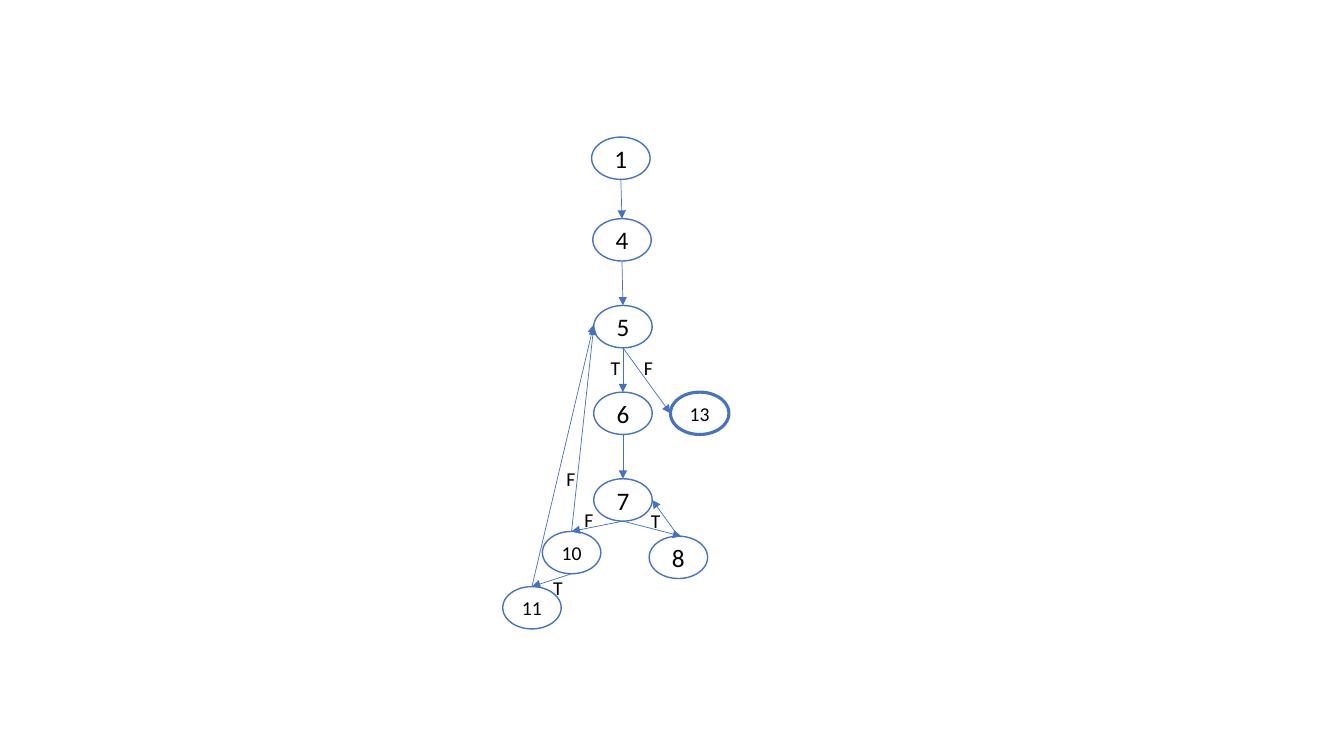
import enum
from dataclasses import dataclass

import pptx
import pptx.dml.color
import pptx.enum.shapes
import pptx.enum.text
import pptx.oxml
import pptx.oxml.ns
import pptx.presentation
import pptx.slide
import pptx.text.text
import pptx.util

Pt = pptx.util.Pt


@dataclass(frozen=True)
class Theme:
    font: str = "Calibri"
    outline: str = "4472C4"
    node_fill: str = "FFFFFF"
    ink: str = "000000"
    large: float = 18
    small: float = 14
    node_line: float = 1
    final_line: float = 2.25
    edge_line: float = 0.5


class Side(enum.Enum):
    """Point on a node's outline, as fractions of its width and height."""
    TOP = (0.5, 0)
    LEFT = (0, 0.5)
    BOTTOM = (0.5, 1)
    RIGHT = (1, 0.5)


@dataclass(frozen=True)
class Node:
    name: str
    left: float
    top: float
    final: bool = False

    def point(self, side: Side) -> tuple[float, float]:
        across, down = side.value
        return self.left + across * NODE_WIDTH, self.top + down * NODE_HEIGHT


@dataclass(frozen=True)
class Edge:
    source: str
    target: str
    leave: Side = Side.BOTTOM
    enter: Side = Side.TOP
    shift: tuple[float, float] = (0, 0)


@dataclass(frozen=True)
class Branch:
    outcome: str
    left: float
    top: float


THEME = Theme()
NODE_WIDTH, NODE_HEIGHT = 41.76, 30.24
LOOP_TOP, LOOP_STEP = 218.2, 61.9
LOOP_LEFT = 424.1
LABEL_WIDTH, LABEL_HEIGHT = 21.4, 24.2

# Control-flow graph
NODES = [
    Node("1", 422.6, 97.9),
    Node("4", 423.4, 156.2),
    *(Node(name, LOOP_LEFT, LOOP_TOP + step * LOOP_STEP)
      for step, name in enumerate(("5", "6", "7"))),
    Node("8", 463.7, 383),
    Node("10", 387.4, 379.6),
    Node("11", 359.1, 419),
    Node("13", 478.9, LOOP_TOP + LOOP_STEP, final=True),
]
EDGES = [
    Edge("1", "4"),
    Edge("4", "5"),
    Edge("5", "6"),
    Edge("5", "13", enter=Side.LEFT),
    Edge("6", "7"),
    Edge("7", "8", shift=(2, 0)),
    Edge("7", "10"),
    Edge("8", "7", leave=Side.TOP, enter=Side.RIGHT),
    Edge("10", "11"),
    Edge("10", "5", leave=Side.TOP, enter=Side.LEFT),
    Edge("11", "5", leave=Side.TOP, enter=Side.LEFT, shift=(0, -1.5)),
]
BRANCHES = [
    Branch("T", 429.1, 250.6),
    Branch("F", 452.9, 250.6),
    Branch("T", 457.9, 360),
    Branch("F", 410.4, 359.3),
    Branch("T", 388.1, 407.5),
    Branch("F", 397.4, 329.8),
]


def rgb(value: str) -> pptx.dml.color.RGBColor:
    return pptx.dml.color.RGBColor.from_string(value)


def write(frame: pptx.text.text.TextFrame, text: str, size: float,
          frame_format: dict) -> None:
    for key, value in {"word_wrap": False, **frame_format}.items():
        setattr(frame, key, value)
    run = frame.paragraphs[0].add_run()
    run.text = text
    for key, value in {"name": THEME.font, "size": Pt(size)}.items():
        setattr(run.font, key, value)
    run.font.color.rgb = rgb(THEME.ink)


def draw_node(slide: pptx.slide.Slide, node: Node) -> None:
    oval = slide.shapes.add_shape(
        pptx.enum.shapes.MSO_SHAPE.OVAL, Pt(node.left), Pt(node.top),
        Pt(NODE_WIDTH), Pt(NODE_HEIGHT))
    oval.shadow.inherit = False
    oval.fill.solid()
    oval.fill.fore_color.rgb = rgb(THEME.node_fill)
    oval.line.color.rgb = rgb(THEME.outline)
    oval.line.width = Pt(THEME.final_line if node.final else THEME.node_line)
    size = THEME.small if len(node.name) > 1 else THEME.large
    write(oval.text_frame, node.name, size,
          {"vertical_anchor": pptx.enum.text.MSO_ANCHOR.MIDDLE})
    oval.text_frame.paragraphs[0].alignment = pptx.enum.text.PP_ALIGN.CENTER


def draw_edge(slide: pptx.slide.Slide, edge: Edge,
              nodes: dict[str, Node]) -> None:
    start = nodes[edge.source].point(edge.leave)
    end = nodes[edge.target].point(edge.enter)
    arrow = slide.shapes.add_connector(
        pptx.enum.shapes.MSO_CONNECTOR.STRAIGHT, Pt(start[0]), Pt(start[1]),
        Pt(end[0] + edge.shift[0]), Pt(end[1] + edge.shift[1]))
    arrow.line.color.rgb = rgb(THEME.outline)
    arrow.line.width = Pt(THEME.edge_line)
    # Arrowhead, and no shadow
    namespace = pptx.oxml.ns.nsdecls("a")
    arrow.line._get_or_add_ln().append(
        pptx.oxml.parse_xml(f'<a:tailEnd {namespace} type="triangle"/>'))
    arrow._element.spPr.append(
        pptx.oxml.parse_xml(f"<a:effectLst {namespace}/>"))


def draw_branch(slide: pptx.slide.Slide, branch: Branch) -> None:
    label = slide.shapes.add_textbox(
        Pt(branch.left), Pt(branch.top), Pt(LABEL_WIDTH), Pt(LABEL_HEIGHT))
    write(label.text_frame, branch.outcome, THEME.small,
          {"auto_size": pptx.enum.text.MSO_AUTO_SIZE.SHAPE_TO_FIT_TEXT})


def main() -> None:
    deck: pptx.presentation.Presentation = pptx.Presentation()
    deck.slide_width, deck.slide_height = Pt(960), Pt(540)
    slide = deck.slides.add_slide(deck.slide_layouts.get_by_name("Blank"))
    nodes = {node.name: node for node in NODES}
    for node in NODES:
        draw_node(slide, node)
    for edge in EDGES:
        draw_edge(slide, edge, nodes)
    for branch in BRANCHES:
        draw_branch(slide, branch)
    deck.save("out.pptx")


if __name__ == "__main__":
    main()
